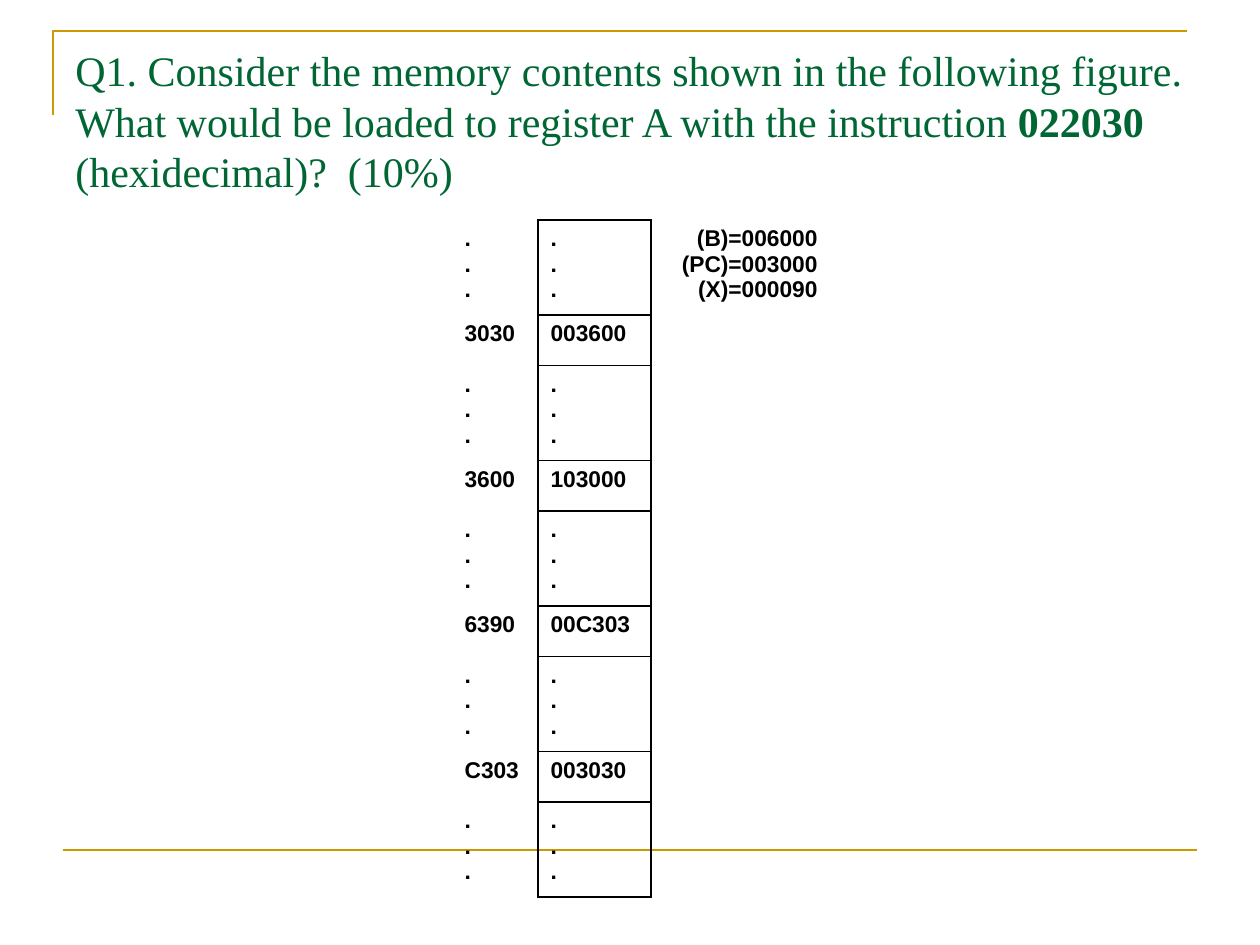
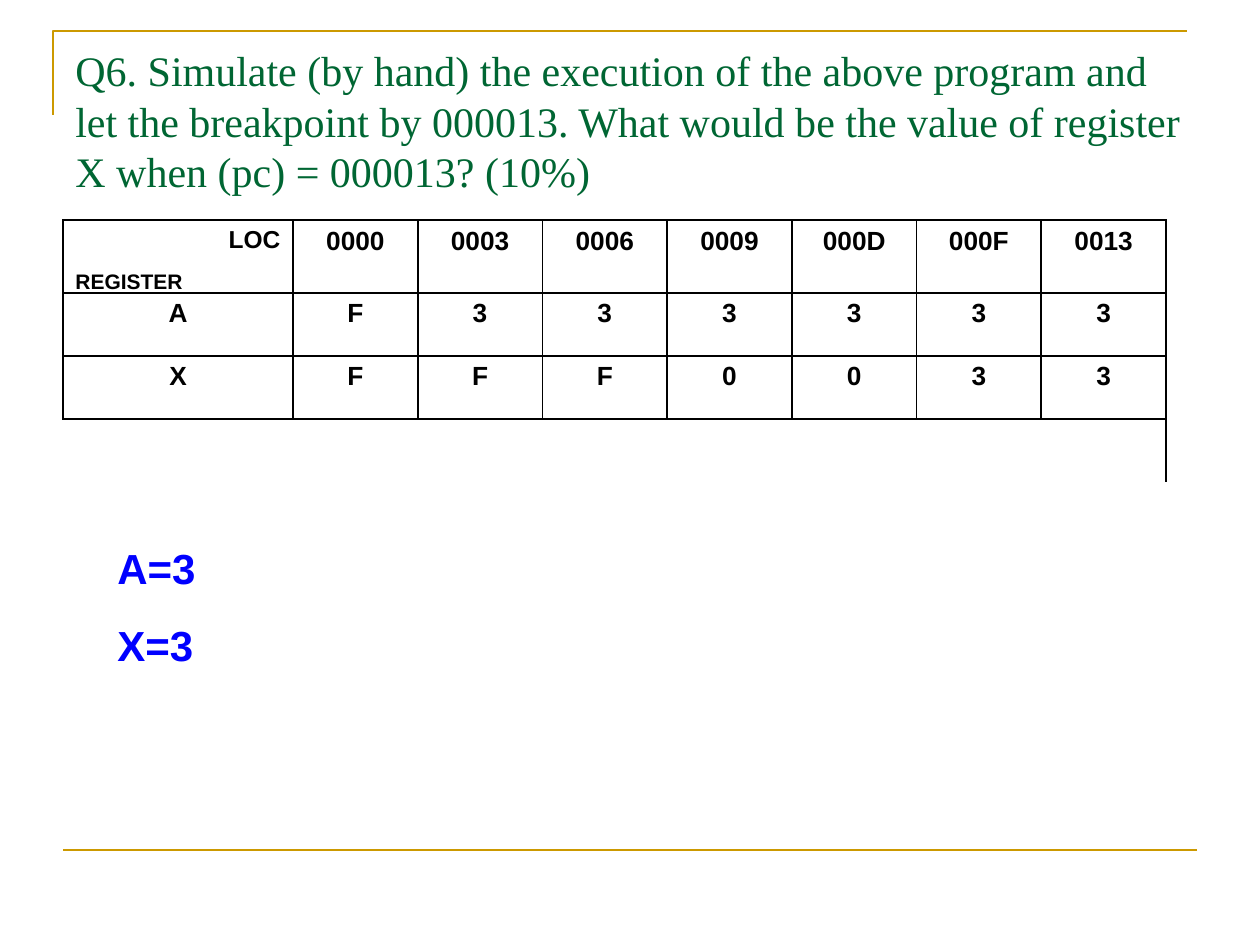
import pptx
import pptx.util
import pptx.dml.color
import pptx.enum.shapes
import pptx.enum.text
import pptx.oxml.ns
import lxml.etree

GOLD = pptx.dml.color.RGBColor(0xCC, 0x99, 0x00)
GREEN = pptx.dml.color.RGBColor(0x00, 0x66, 0x33)
BLACK = pptx.dml.color.RGBColor(0x00, 0x00, 0x00)
BLUE = pptx.dml.color.RGBColor(0x00, 0x00, 0xFF)

SERIF = "Times New Roman"
SANS = "Arial"
SCALE = 914400 / 126
TITLE_BOX = (63, 38, 1134, 157)
FRAME_BOX = (53, 31, 1134, 84)
FOOTER_BOX = (63, 850, 1134, 0)
NO_STYLE = "{2D5ABB26-0587-4C30-8999-92F81FD0307C}"
ALIGN = pptx.enum.text.PP_ALIGN
DOTS = ".\n.\n."


def px(length):
    return pptx.util.Emu(round(length * SCALE))


def style_span(span, size, color, font=SANS, bold=True):
    span.font.name = font
    span.font.size = pptx.util.Pt(size)
    span.font.bold = bold
    span.font.color.rgb = color


def write_lines(frame, text, size, color, align=ALIGN.LEFT, spacing=None, before=None):
    frame.text = text
    for para in frame.paragraphs:
        para.alignment = align
        if spacing:
            para.line_spacing = pptx.util.Pt(spacing)
        if before:
            para.space_before = pptx.util.Pt(before)
        for span in para.runs:
            style_span(span, size, color)


def add_text_box(page, box):
    frame = page.shapes.add_textbox(*map(px, box)).text_frame
    frame.word_wrap = True
    return frame


def add_frame(page, box):
    left, top, width, height = box
    builder = page.shapes.build_freeform(px(left), px(top + height))
    corner = [(px(left), px(top)), (px(left + width), px(top))]
    builder.add_line_segments(corner, close=False)
    bracket = builder.convert_to_shape()
    bracket.shadow.inherit = False
    bracket.fill.background()
    bracket.line.color.rgb = GOLD
    bracket.line.width = pptx.util.Pt(1.5)


def add_footer_rule(page, box):
    left, top, width, height = box
    rule = page.shapes.add_connector(
        pptx.enum.shapes.MSO_CONNECTOR.STRAIGHT,
        px(left), px(top), px(left + width), px(top + height))
    rule.line.color.rgb = GOLD
    rule.line.width = pptx.util.Pt(1.5)
    properties = rule.element.spPr
    lxml.etree.SubElement(properties, pptx.oxml.ns.qn("a:effectLst"))


def add_title(page, box, parts):
    para = add_text_box(page, box).paragraphs[0]
    para.line_spacing = pptx.util.Pt(28.9)
    para.text = parts[0]
    for part in parts[1:]:
        para.add_run().text = part
    for span in para.runs:
        style_span(span, 24, GREEN, SERIF, False)
    return para


def add_page(deck, *title_parts):
    page = deck.slides.add_slide(deck.slide_layouts[6])
    add_frame(page, FRAME_BOX)
    add_footer_rule(page, FOOTER_BOX)
    return page, add_title(page, TITLE_BOX, title_parts)


def add_grid(page, left, top, widths, heights):
    holder = page.shapes.add_table(
        len(heights), len(widths), px(left), px(top), px(sum(widths)), px(sum(heights)))
    grid = holder.table
    grid.first_row = grid.horz_banding = False
    style = grid._tbl.tblPr.find(pptx.oxml.ns.qn("a:tableStyleId"))
    style.text = NO_STYLE
    for column, width in zip(grid.columns, widths):
        column.width = px(width)
    for row, height in zip(grid.rows, heights):
        row.height = px(height)
    return grid


def border_cell(cell, sides, width):
    properties = cell._tc.get_or_add_tcPr()
    for side in sides:
        line = lxml.etree.SubElement(properties, pptx.oxml.ns.qn("a:ln" + side))
        line.set("w", str(pptx.util.Pt(width)))
        fill = lxml.etree.SubElement(line, pptx.oxml.ns.qn("a:solidFill"))
        color = lxml.etree.SubElement(fill, pptx.oxml.ns.qn("a:srgbClr"))
        color.set("val", str(BLACK))
    cell.fill.background()


def add_memory_table(page, left, top, words, registers):
    rows = [(DOTS, DOTS)]
    for word in words:
        rows += [word, (DOTS, DOTS)]
    heights = [95 if address == DOTS else 40 for address, value in rows]
    grid = add_grid(page, left, top, [86, 113, 179], heights)
    for index, (address, value) in enumerate(rows):
        address_cell, value_cell, note_cell = grid.rows[index].cells
        write_lines(address_cell.text_frame, address, 13, BLACK, spacing=14.57)
        write_lines(value_cell.text_frame, value, 13, BLACK, spacing=14.57)
        border_cell(address_cell, "R", 0.96)
        border_cell(value_cell, "LRTB", 0.96)
        border_cell(note_cell, "L", 0.96)
        note_cell.text_frame.paragraphs[0].line_spacing = pptx.util.Pt(20)
    write_lines(grid.cell(0, 2).text_frame, registers, 13, BLACK, ALIGN.RIGHT, 14.57)


def add_trace_table(page, left, top, rows):
    steps = len(rows[0]) - 1
    widths = [230] + [873 / steps] * steps + [31]
    grid = add_grid(page, left, top, widths, [73, 63, 63, 63])
    for row_index, row in enumerate(rows):
        for column_index, text in enumerate(row):
            cell = grid.cell(row_index, column_index)
            corner = row_index == column_index == 0
            write_lines(cell.text_frame, text, 14 if corner else 15, BLACK,
                        ALIGN.RIGHT if corner else ALIGN.CENTER)
            border_cell(cell, "LRTB", 1.08)
    last_row, last_column = len(rows), steps + 1
    for index in range(last_row + 1):
        border_cell(grid.cell(index, last_column), "L", 1.08)
    for index in range(last_column):
        border_cell(grid.cell(last_row, index), "T", 1.08)
    grid.cell(0, last_column).merge(grid.cell(last_row, last_column))
    grid.cell(last_row, 0).merge(grid.cell(last_row, steps))
    label = add_text_box(page, (left, top + 42, 147, 38))
    write_lines(label, "REGISTER", 12, BLACK, before=7.5)


def add_answer(page, box, text):
    write_lines(add_text_box(page, box), text, 24, BLUE, spacing=28.9, before=15)


deck = pptx.Presentation()
deck.slide_width, deck.slide_height = px(1260), px(945)

page, title = add_page(
    deck,
    "Q1. Consider the memory contents shown in the following figure.\v"
    "What would be loaded to register A with the instruction ",
    "022030",
    " (hexidecimal)?  (10%)")
title.runs[-2].font.bold = True
add_memory_table(
    page, 452, 220,
    [("3030", "003600"), ("3600", "103000"), ("6390", "00C303"), ("C303", "003030")],
    "(B)=006000\n(PC)=003000\n(X)=000090")

page, title = add_page(
    deck,
    "Q6. Simulate (by hand) the execution of the above program and let the breakpoint "
    "by 000013. What would be the value of register X when (pc) = 000013? (10%)")
add_trace_table(page, 63, 220, [
    ["LOC", "0000", "0003", "0006", "0009", "000D", "000F", "0013"],
    ["A", "F", "3", "3", "3", "3", "3", "3"],
    ["X", "F", "F", "F", "0", "0", "3", "3"],
])
add_answer(page, (105, 536, 305, 140), "A=3\nX=3")

deck.save("out.pptx")
